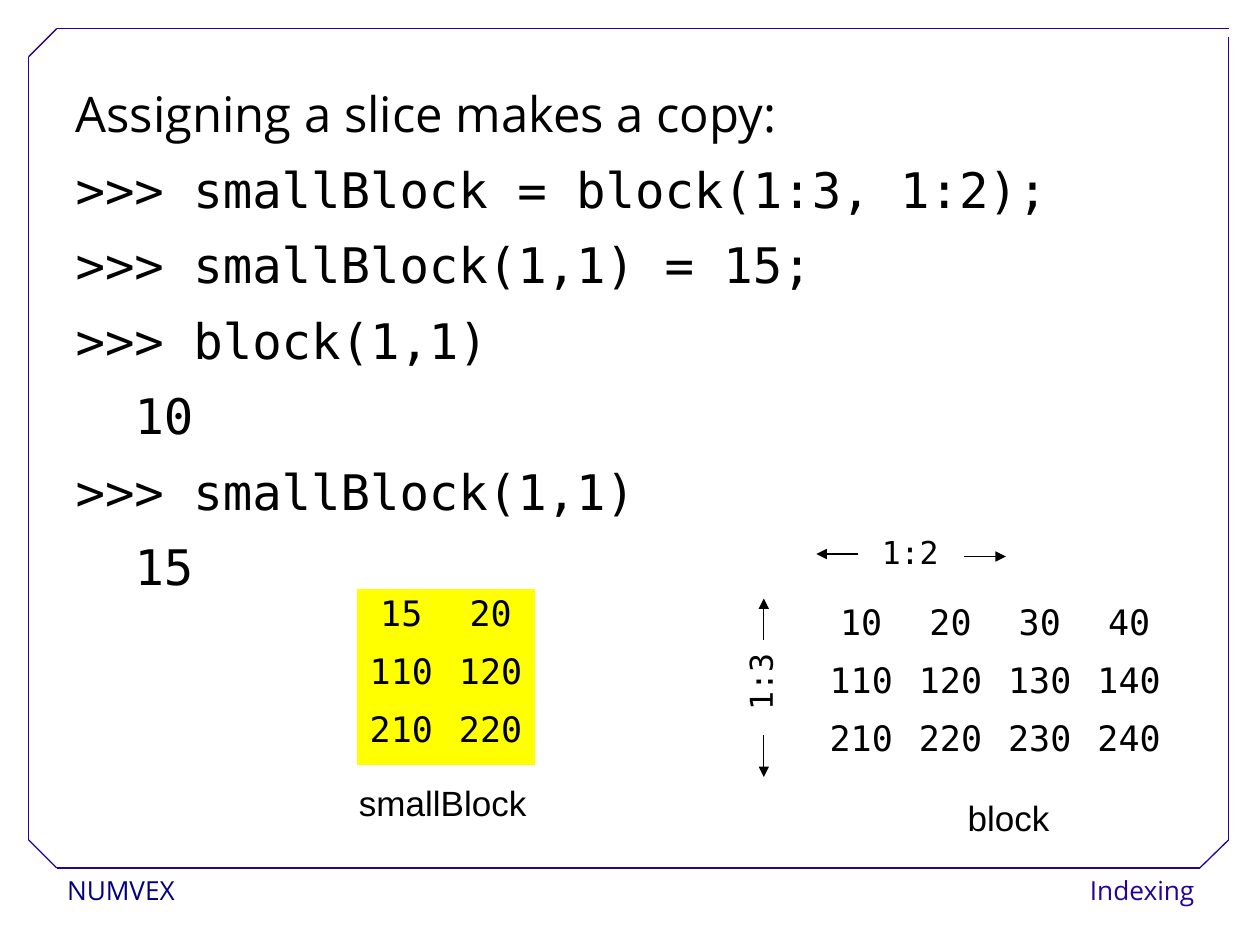
from lxml import etree
from pptx import Presentation
from pptx import util as u
from pptx.dml.color import RGBColor
from pptx.enum import shapes, text
from pptx.oxml.ns import qn

COLORS = {"black": "000000", "white": "FFFFFF", "yellow": "FFFF00",
          "navy": "000080", "indigo": "280099"}
MONO, SANS, LABEL = "DejaVu Sans Mono", "Open Sans", "Arial"
NO_STYLE = "{2D5ABB26-0587-4C30-8999-92F81FD0307C}"
CELL_WIDTH, CELL_HEIGHT = 51.05, 33.4

FRAME = [  # from x, from y, to x, to y
    (32.4, 496, 685.6, 496),
    (16.4, 480, 16.4, 32.4),
    (32.4, 16.4, 702, 16.4),
    (702, 480, 702, 21),
    (16.4, 32.4, 32.4, 16.4),
    (685.6, 496, 702, 480),
    (16.4, 480, 32.4, 496),
]
ARROWS = [
    (550.8, 318, 574.8, 318),
    (490.5, 316.6, 466.5, 316.6),
    (436.5, 365.8, 436.5, 342),
    (436.5, 420, 436.5, 444),
]
BODY = [  # text, font, is output
    ("Assigning a slice makes a copy:", SANS, False),
    (">>> smallBlock = block(1:3, 1:2);", MONO, False),
    (">>> smallBlock(1,1) = 15;", MONO, False),
    (">>> block(1,1)", MONO, False),
    ("10", MONO, True),
    (">>> smallBlock(1,1)", MONO, False),
    ("15", MONO, True),
]
BLOCK = [[10, 20, 30, 40], [110, 120, 130, 140], [210, 220, 230, 240]]
SMALL_BLOCK = [[15, 20], [110, 120], [210, 220]]


def rgb(name):
    return RGBColor.from_string(COLORS[name])


def set_font(paragraph, name, size, color="black"):
    paragraph.font.name = name
    paragraph.font.size = u.Pt(size)
    paragraph.font.color.rgb = rgb(color)


def add_text(slide, box, content, font, size, color="black", fill=None,
             align=text.PP_ALIGN.LEFT, before=0, spacing=1.0, wrap=True):
    shape = slide.shapes.add_textbox(*map(u.Pt, box))
    if fill:
        shape.fill.solid()
        shape.fill.fore_color.rgb = rgb(fill)
    frame = shape.text_frame
    frame.word_wrap = wrap
    paragraph = frame.paragraphs[0]
    paragraph.text = content
    paragraph.alignment = align
    paragraph.line_spacing = spacing
    paragraph.space_before = u.Pt(before)
    set_font(paragraph, font, size, color)
    return shape


def add_line(slide, points, color, arrow=False):
    connector = slide.shapes.add_connector(
        shapes.MSO_CONNECTOR.STRAIGHT, *map(u.Pt, points))
    connector.line.color.rgb = rgb(color)
    connector.line.width = u.Pt(0.75)
    if arrow:
        line = connector.line._get_or_add_ln()
        etree.SubElement(line, qn("a:tailEnd"), type="triangle")
    etree.SubElement(connector._element.spPr, qn("a:effectLst"))


def fill_body(slide):
    body = slide.placeholders[1]
    body.left, body.top, body.width, body.height = map(u.Pt, (36, 48.2, 648, 437.8))
    frame = body.text_frame
    frame.auto_size = text.MSO_AUTO_SIZE.NONE
    frame.vertical_anchor = text.MSO_ANCHOR.TOP
    for index, (content, font, is_output) in enumerate(BODY):
        paragraph = frame.add_paragraph() if index else frame.paragraphs[0]
        paragraph.text = content
        paragraph.line_spacing = 0.9
        paragraph.space_before = u.Pt(0)
        paragraph.space_after = u.Pt(12.9)
        set_font(paragraph, font, 28)
        # Output sits two characters in; other lines hang
        properties = paragraph._p.get_or_add_pPr()
        properties.set("marL", str(u.Pt(33.7 if is_output else 24.5)))
        properties.set("indent", str(u.Pt(0 if is_output else -24.5)))
        properties.insert_element_before(
            properties.makeelement(qn("a:buNone")),
            "a:tabLst", "a:defRPr", "a:extLst")


def add_matrix(slide, left, top, values, fill, filled_columns=2):
    rows, columns = len(values), len(values[0])
    table = slide.shapes.add_table(
        rows, columns, u.Pt(left), u.Pt(top),
        u.Pt(columns * CELL_WIDTH), u.Pt(rows * CELL_HEIGHT)).table
    table.first_row = table.horz_banding = False
    table._tbl.tblPr.find(qn("a:tableStyleId")).text = NO_STYLE
    for row_index, row in enumerate(values):
        for column_index, value in enumerate(row):
            cell = table.cell(row_index, column_index)
            if column_index < filled_columns:
                cell.fill.solid()
                cell.fill.fore_color.rgb = rgb(fill)
            else:
                cell.fill.background()
            paragraph = cell.text_frame.paragraphs[0]
            paragraph.text = str(value)
            paragraph.alignment = text.PP_ALIGN.CENTER
            paragraph.line_spacing = 0.93
            set_font(paragraph, MONO, 20)


def add_footer(slide, box, content, color, align):
    shape = add_text(slide, box, content, SANS, 15, color, "white", align,
                     spacing=1.02)
    frame = shape.text_frame
    frame.margin_left = frame.margin_right = u.Pt(6.4)
    frame.margin_top = frame.margin_bottom = u.Pt(3.2)


def main():
    presentation = Presentation()
    presentation.slide_width, presentation.slide_height = u.Pt(720), u.Pt(540)
    slide = presentation.slides.add_slide(presentation.slide_layouts[1])
    title = slide.shapes.title._element
    title.getparent().remove(title)

    # Code listing
    fill_body(slide)

    # Footer and frame
    add_footer(slide, (31.9, 496, 140.4, 26.6), "NUMVEX", "navy", text.PP_ALIGN.LEFT)
    add_footer(slide, (597.6, 496, 91.4, 26.6), "Indexing", "indigo", text.PP_ALIGN.RIGHT)
    for points in FRAME:
        add_line(slide, points, "indigo")

    # Full block with its slice ranges
    add_matrix(slide, 466.6, 342, BLOCK, "white")
    add_text(slide, (496.8, 301, 59.8, 28.8), "1:2", MONO, 18)
    rows_label = add_text(slide, (411.1, 375.1, 46.8, 28.8), "1:3", MONO, 18, wrap=False)
    rows_label.rotation = 270
    for points in ARROWS:
        add_line(slide, points, "black", arrow=True)
    add_text(slide, (545.8, 451.4, 77.8, 31.7), "block", LABEL, 20, before=12.5)

    # Copied slice
    add_matrix(slide, 203.8, 336.8, SMALL_BLOCK, "yellow")
    add_text(slide, (198, 442.8, 113.8, 31.7), "smallBlock", LABEL, 20, before=12.5)

    presentation.save("out.pptx")


if __name__ == "__main__":
    main()
